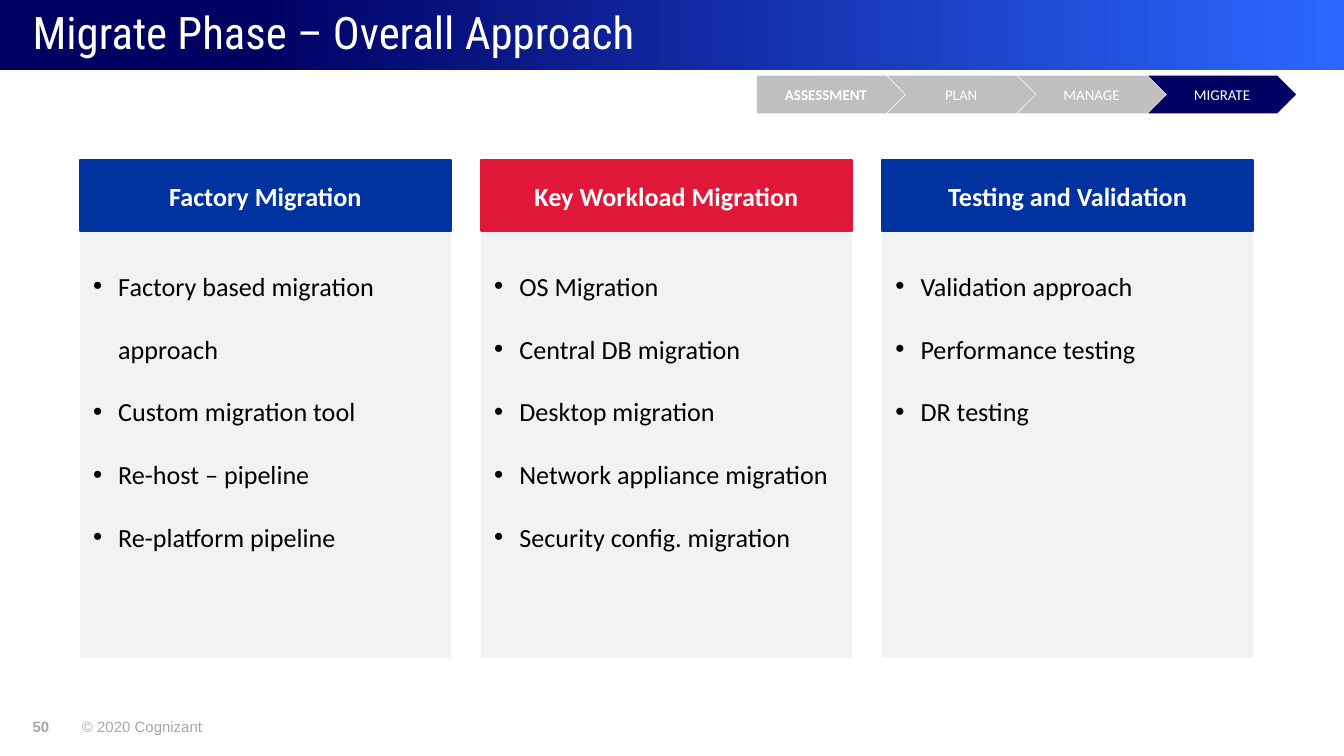
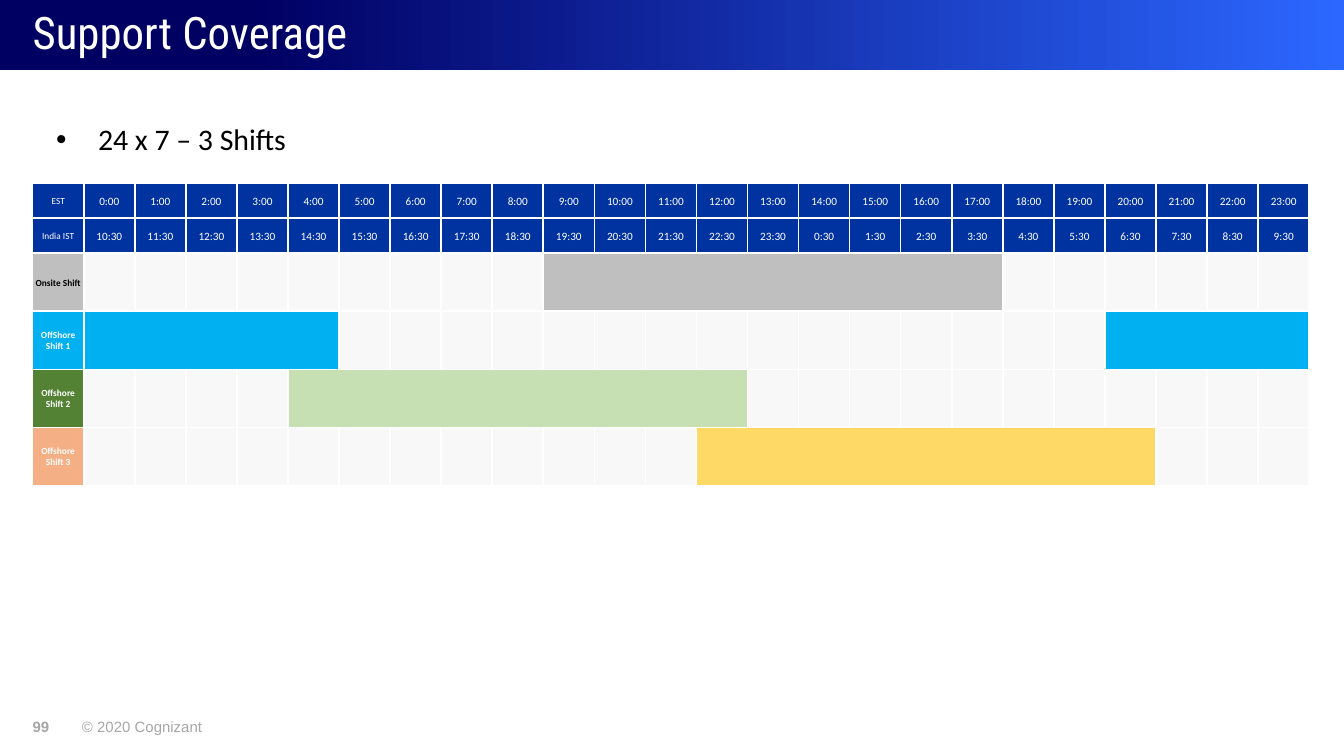
from lxml.etree import SubElement
from pptx import Presentation
from pptx.dml.color import RGBColor
from pptx.enum.shapes import MSO_SHAPE
from pptx.enum.text import MSO_ANCHOR, MSO_AUTO_SIZE, PP_ALIGN
from pptx.oxml import parse_xml
from pptx.oxml.ns import nsdecls, qn
from pptx.util import Pt

NAVY, SKY, BLUE, RED = "000063", "2C67FF", "0033A0", "E11737"
WHITE, BLACK, GRAY, FOOTER_GRAY = "FFFFFF", "000000", "BFBFBF", "A6A6A6"
PANEL_GRAY, EMPTY_GRAY, CYAN = "F2F2F2", "F8F8F8", "00B0F0"
LEFT_EDGE = 17.5
BAR_HEIGHT = 37.5

CARDS = [
    ("Factory Migration", BLUE, [
        "Factory based migration approach", "Custom migration tool",
        "Re-host – pipeline", "Re-platform pipeline"]),
    ("Key Workload Migration", RED, [
        "OS Migration", "Central DB migration", "Desktop migration",
        "Network appliance migration", "Security config. migration"]),
    ("Testing and Validation", BLUE, [
        "Validation approach", "Performance testing", "DR testing"]),
]
PHASES = ["ASSESSMENT", "PLAN", "MANAGE", "MIGRATE"]
SHIFTS = [
    ("Onsite Shift", GRAY, BLACK, GRAY, [(9, 9)]),
    ("OffShore Shift 1", CYAN, WHITE, CYAN, [(0, 5), (20, 4)]),
    ("Offshore Shift 2", "548235", WHITE, "C6E0B4", [(4, 9)]),
    ("Offshore Shift 3", "F4B084", WHITE, "FFD966", [(12, 9)]),
]


def color(value):
    return RGBColor.from_string(value)


def paint(fill, value):
    fill.solid()
    fill.fore_color.rgb = color(value)


def add_bullet(paragraph, indent):
    properties = paragraph._p.get_or_add_pPr()
    properties.set("marL", str(Pt(indent)))
    properties.set("indent", str(-Pt(indent)))
    SubElement(properties, qn("a:buFont")).set("typeface", "Arial")
    SubElement(properties, qn("a:buChar")).set("char", "•")


def write_text(frame, text, size=14, font="Calibri", ink=BLACK, bold=False,
               align=PP_ALIGN.LEFT, spacing=None, bullet_indent=None):
    for index, line in enumerate(text.split("\n")):
        paragraph = frame.add_paragraph() if index else frame.paragraphs[0]
        if bullet_indent:
            add_bullet(paragraph, bullet_indent)
        paragraph.alignment = align
        if spacing:
            paragraph.line_spacing = spacing
        run = paragraph.add_run()
        run.text = line
        run.font.size = Pt(size)
        run.font.name = font
        run.font.bold = bold
        run.font.color.rgb = color(ink)


def add_block(shapes, preset, left, top, width, height, fill, line=None):
    shape = shapes.add_shape(preset, Pt(left), Pt(top), Pt(width), Pt(height))
    shape.shadow.inherit = False
    paint(shape.fill, fill)
    if line:
        shape.line.color.rgb = color(line)
        shape.line.width = Pt(1)
    else:
        shape.line.fill.background()
    return shape


def add_label(slide, text, left, top, width, height, inset=True, wrap=True,
              grow=True, anchor=MSO_ANCHOR.TOP, **text_format):
    box = slide.shapes.add_textbox(Pt(left), Pt(top), Pt(width), Pt(height))
    frame = box.text_frame
    frame.word_wrap = wrap
    frame.vertical_anchor = anchor
    frame.auto_size = MSO_AUTO_SIZE.SHAPE_TO_FIT_TEXT if grow else MSO_AUTO_SIZE.NONE
    if not inset:
        frame.margin_left = frame.margin_right = 0
        frame.margin_top = frame.margin_bottom = 0
    write_text(frame, text, **text_format)


def add_base_slide(presentation, title, number):
    slide = presentation.slides.add_slide(presentation.slide_layouts[6])
    bar = add_block(slide.shapes, MSO_SHAPE.RECTANGLE, 0, 0, 720, BAR_HEIGHT, NAVY)
    bar.fill.gradient()
    bar.fill.gradient_angle = 0
    for stop, position, value in zip(bar.fill.gradient_stops, (0.19, 1), (NAVY, SKY)):
        stop.position = position
        stop.color.rgb = color(value)
    footer = {"size": 8, "font": "Arial", "ink": FOOTER_GRAY, "inset": False, "wrap": False}
    add_label(slide, number, LEFT_EDGE, 384.5, 10, 9.5, bold=True, **footer)
    add_label(slide, "© 2020 Cognizant", 43.9, 384.5, 65.5, 9.5, **footer)
    add_label(slide, title, LEFT_EDGE, 0, 626, BAR_HEIGHT, inset=False, grow=False,
              anchor=MSO_ANCHOR.MIDDLE, size=24, font="Roboto Condensed",
              ink=WHITE, spacing=0.9)
    return slide


def add_cards(slide):
    shapes = slide.shapes.add_group_shape().shapes
    for index, (heading, fill, items) in enumerate(CARDS):
        left = 42.75 + 214.9 * index
        header = add_block(shapes, MSO_SHAPE.RECTANGLE, left, 85.8, 198.8, 38.2, fill, fill)
        header.text_frame.vertical_anchor = MSO_ANCHOR.MIDDLE
        write_text(header.text_frame, heading, ink=WHITE, bold=True, align=PP_ALIGN.CENTER)
        body = add_block(shapes, MSO_SHAPE.RECTANGLE, left, 124.4, 198.8, 228, PANEL_GRAY)
        body.text_frame.vertical_anchor = MSO_ANCHOR.TOP
        write_text(body.text_frame, "\n".join(items), spacing=2, bullet_indent=13.5)


def add_phases(slide, current):
    shapes = slide.shapes.add_group_shape().shapes
    for index, phase in reversed(list(enumerate(PHASES))):
        preset = MSO_SHAPE.CHEVRON if index else MSO_SHAPE.PENTAGON
        fill = NAVY if phase == current else GRAY
        step = add_block(shapes, preset, 405.5 + 69.85 * index, 40.5, 79.3, 20.2, fill)
        step.text_frame.vertical_anchor = MSO_ANCHOR.MIDDLE
        write_text(step.text_frame, phase, size=8, ink=WHITE, bold=index == 0,
                   align=PP_ALIGN.CENTER)


def style_cell(cell, fill):
    paint(cell.fill, fill)
    cell.vertical_anchor = MSO_ANCHOR.MIDDLE
    cell.margin_left = cell.margin_right = cell.margin_top = Pt(0.7)
    cell.margin_bottom = 0
    properties = cell._tc.get_or_add_tcPr()
    for index, side in enumerate(("lnL", "lnR", "lnT", "lnB")):
        properties.insert(index, parse_xml(
            f'<a:{side} {nsdecls("a")} w="{Pt(1)}"><a:solidFill>'
            f'<a:srgbClr val="{WHITE}"/></a:solidFill></a:{side}>'))


def clock(minutes):
    hour, minute = divmod(minutes % 1440, 60)
    return f"{hour}:{minute:02d}"


def add_shift_table(slide):
    heights = [18.75] * 2 + [31.1] * len(SHIFTS)
    table = slide.shapes.add_table(len(heights), 25, Pt(LEFT_EDGE), Pt(98.2),
                                   Pt(684), Pt(sum(heights))).table
    table.first_row = table.horz_banding = False
    for column in table.columns:
        column.width = Pt(27.36)
    for row, height in zip(table.rows, heights):
        row.height = Pt(height)

    for row, (zone, offset) in enumerate([("EST", 0), ("India IST", 630)]):
        times = [clock(hour * 60 + offset) for hour in range(24)]
        for column, text in enumerate([zone] + times):
            cell = table.cell(row, column)
            style_cell(cell, BLUE)
            write_text(cell.text_frame, text, size=6 if column else 5, ink=WHITE,
                       align=PP_ALIGN.CENTER)

    for row, (name, label_fill, ink, bar_fill, spans) in enumerate(SHIFTS, start=2):
        label = table.cell(row, 0)
        style_cell(label, label_fill)
        write_text(label.text_frame, name, size=5, ink=ink, bold=True,
                   align=PP_ALIGN.CENTER)
        worked = {start + step for start, length in spans for step in range(length)}
        for hour in range(24):
            style_cell(table.cell(row, hour + 1), bar_fill if hour in worked else EMPTY_GRAY)
        for start, length in spans:
            table.cell(row, start + 1).merge(table.cell(row, start + length))


def main():
    presentation = Presentation()
    presentation.slide_width = Pt(720)
    presentation.slide_height = Pt(405)

    approach = add_base_slide(presentation, "Migrate Phase – Overall Approach", "50")
    add_cards(approach)
    add_phases(approach, "MIGRATE")

    coverage = add_base_slide(presentation, "Support Coverage", "99")
    add_label(coverage, "24 x 7 – 3 Shifts", 23, 61.3, 155, 26.7, size=16,
              bullet_indent=22.5)
    add_shift_table(coverage)

    presentation.save("out.pptx")


if __name__ == "__main__":
    main()
